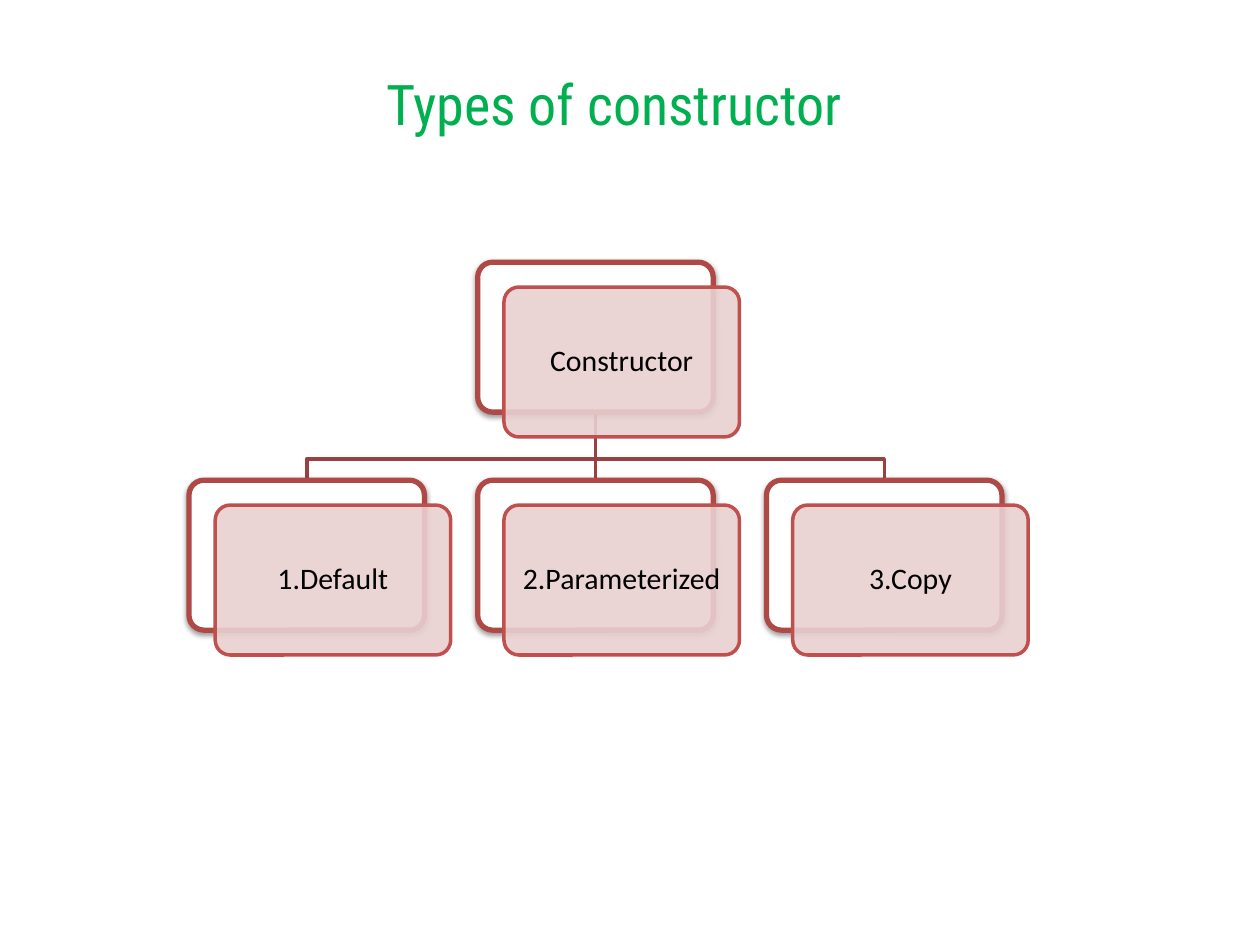
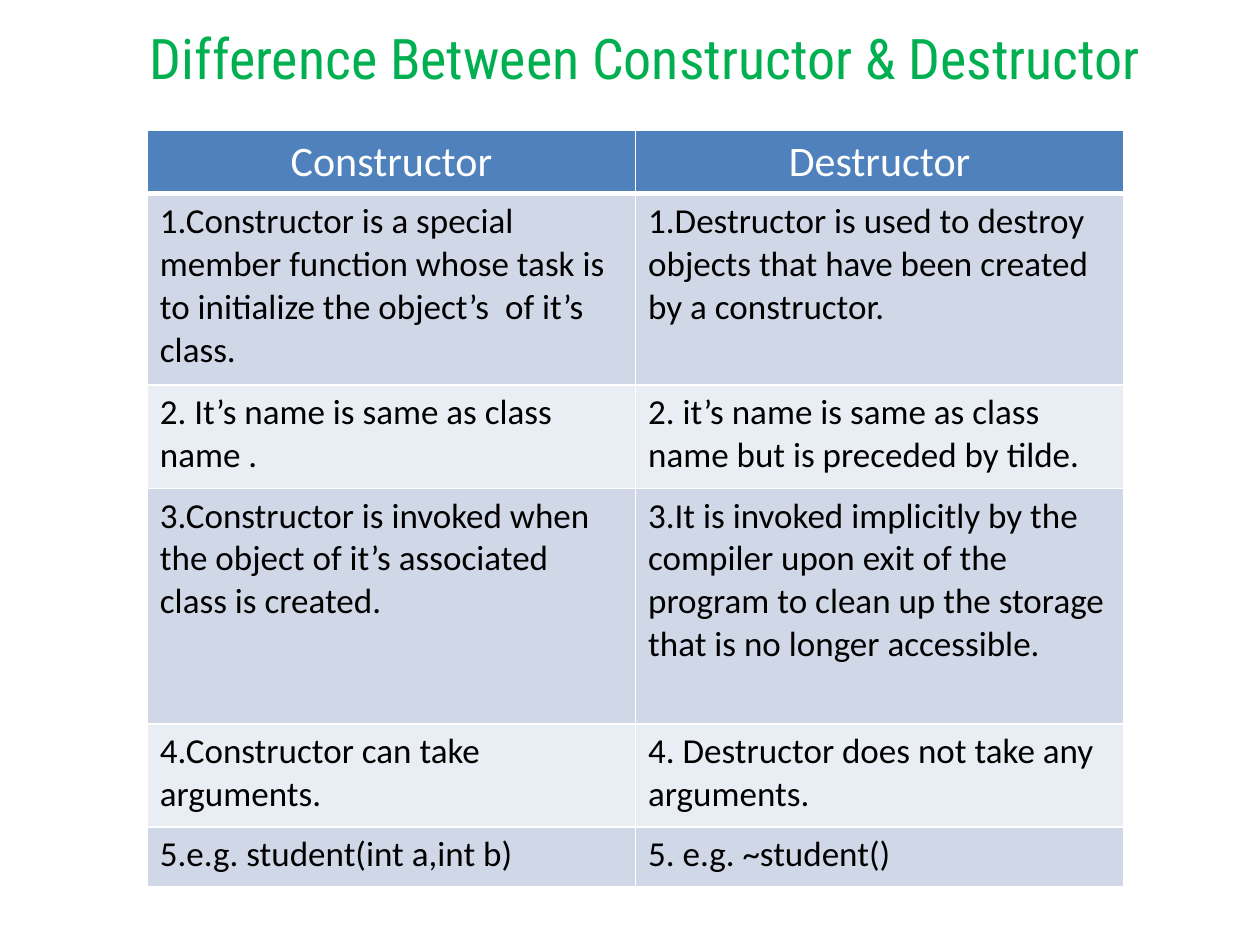
from lxml import etree
from pptx import Presentation
from pptx.dml.color import RGBColor
from pptx.enum.shapes import MSO_CONNECTOR, MSO_SHAPE
from pptx.enum.text import MSO_ANCHOR, PP_ALIGN
from pptx.oxml.ns import qn
from pptx.util import Pt

LEFT, CENTER = PP_ALIGN.LEFT, PP_ALIGN.CENTER
MIDDLE = MSO_ANCHOR.MIDDLE
ROUNDED = MSO_SHAPE.ROUNDED_RECTANGLE
STRAIGHT = MSO_CONNECTOR.STRAIGHT

GREEN = RGBColor(0x00, 0xB0, 0x50)
BLACK = RGBColor(0x00, 0x00, 0x00)
WHITE = RGBColor(0xFF, 0xFF, 0xFF)
BRANCH_RED = RGBColor(0x9A, 0x40, 0x3E)
BACK_RED = RGBColor(0xAE, 0x49, 0x46)
FRONT_RED = RGBColor(0xC0, 0x50, 0x4D)
PINK = RGBColor(0xE8, 0xD0, 0xD0)
HEADER_BLUE = RGBColor(0x4F, 0x81, 0xBD)
BAND_DARK = RGBColor(0xD0, 0xD8, 0xE8)
BAND_LIGHT = RGBColor(0xE9, 0xED, 0xF4)

TITLE_FONT, BODY_FONT = "Roboto Condensed", "Calibri"

# Card size, distance from back to front card, and steps of the tree
CARD_W, CARD_H = 134.6, 85.7
SHIFT_X, SHIFT_Y = 15, 14.2
COLUMN_STEP, LEVEL_STEP = 165, 124.6
BRANCH_RISE = 12.2

CONSTRUCTOR_TYPES = ["1.Default", "2.Parameterized", "3.Copy"]

ROW_HEIGHTS = [36, 109.4, 59, 134.6, 59, 34]
COMPARISON = [
    ("Constructor", "Destructor"),
    ("1.Constructor is a special member function whose task is to initialize "
     "the object’s  of it’s class.",
     "1.Destructor is used to destroy objects that have been created by a constructor."),
    ("2. It’s name is same as class name .",
     "2. it’s name is same as class name but is preceded by tilde."),
    ("3.Constructor is invoked when the object of it’s associated class is created.",
     "3.It is invoked implicitly by the compiler upon exit of the program to "
     "clean up the storage that is no longer accessible."),
    ("4.Constructor can take arguments.",
     "4. Destructor does not take any arguments."),
    ("5.e.g. student(int a,int b)", "5. e.g. ~student()"),
]


def write(frame, text, size, color=BLACK, font=BODY_FONT, align=LEFT, spacing=None):
    """Put one formatted paragraph into a text frame."""
    frame.word_wrap = True
    paragraph = frame.paragraphs[0]
    paragraph.alignment = align
    paragraph.line_spacing = spacing
    run = paragraph.add_run()
    run.text = text
    run.font.size = Pt(size)
    run.font.name = font
    run.font.bold = False
    run.font.color.rgb = color


def add_title(slide, text, left, top, width, height=46):
    """Add the green slide title."""
    title = slide.shapes.add_textbox(Pt(left), Pt(top), Pt(width), Pt(height))
    write(title.text_frame, text, 32, GREEN, TITLE_FONT, CENTER)


def add_alpha(color_parent, percent):
    """Give the colour inside an element an opacity."""
    color = color_parent.find(".//" + qn("a:srgbClr"))
    etree.SubElement(color, qn("a:alpha")).set("val", str(percent * 1000))


def add_panel(slide, left, top, fill, line, line_width):
    """Add one rounded panel of a card."""
    panel = slide.shapes.add_shape(ROUNDED, Pt(left), Pt(top), Pt(CARD_W), Pt(CARD_H))
    panel.adjustments[0] = 0.1
    panel.shadow.inherit = False
    panel.fill.solid()
    panel.fill.fore_color.rgb = fill
    panel.line.color.rgb = line
    panel.line.width = Pt(line_width)
    return panel


def add_card(slide, label, left, top):
    """Add a shadowed back panel and a translucent labelled front panel."""
    back = add_panel(slide, left, top, WHITE, BACK_RED, 3)
    effects = back._element.spPr.find(qn("a:effectLst"))
    shadow = etree.SubElement(effects, qn("a:outerShdw"), blurRad=str(Pt(3.1)),
                              dist=str(Pt(1.6)), dir="5400000", rotWithShape="0")
    etree.SubElement(shadow, qn("a:srgbClr"), val=str(BLACK))
    add_alpha(shadow, 38)

    front = add_panel(slide, left + SHIFT_X, top + SHIFT_Y, PINK, FRONT_RED, 2)
    add_alpha(front._element.spPr.find(qn("a:solidFill")), 90)
    frame = front.text_frame
    frame.margin_left = frame.margin_right = Pt(5)
    frame.margin_top = frame.margin_bottom = Pt(5)
    frame.vertical_anchor = MIDDLE
    write(frame, label, 17, align=CENTER, spacing=0.9)


def add_branch(slide, root_x, root_y, child_x, child_y):
    """Join the root to a child: straight below it, bent otherwise."""
    if child_x == root_x:
        branch = slide.shapes.add_connector(
            STRAIGHT, Pt(root_x), Pt(root_y), Pt(child_x), Pt(child_y))
        etree.SubElement(branch._element.spPr, qn("a:effectLst"))
    else:
        bend_y = Pt(child_y - BRANCH_RISE)
        builder = slide.shapes.build_freeform(Pt(root_x), Pt(root_y))
        builder.add_line_segments(
            [(Pt(root_x), bend_y), (Pt(child_x), bend_y), (Pt(child_x), Pt(child_y))],
            close=False)
        branch = builder.convert_to_shape()
        branch.shadow.inherit = False
        branch.fill.background()
    branch.line.color.rgb = BRANCH_RED
    branch.line.width = Pt(2)


def add_tree(slide, root, children, left, top):
    """Draw a root card centred over a row of child cards."""
    child_lefts = [left + i * COLUMN_STEP for i in range(len(children))]
    child_top = top + LEVEL_STEP
    root_left = (child_lefts[0] + child_lefts[-1]) / 2
    for child_left in reversed(child_lefts):
        add_branch(slide, root_left + CARD_W / 2, top + CARD_H,
                   child_left + CARD_W / 2, child_top)
    add_card(slide, root, root_left, top)
    for child, child_left in zip(children, child_lefts):
        add_card(slide, child, child_left, child_top)


def add_borders(cell, bottom_width):
    """Draw white lines round a cell."""
    properties = cell._tc.get_or_add_tcPr()
    for side, width in (("L", 1), ("R", 1), ("T", 1), ("B", bottom_width)):
        line = etree.SubElement(properties, qn("a:ln" + side), w=str(Pt(width)))
        fill = etree.SubElement(line, qn("a:solidFill"))
        etree.SubElement(fill, qn("a:srgbClr"), val=str(WHITE))


def add_comparison(slide, rows, left, top, width):
    """Add the two-column table with a header and banded rows."""
    table = slide.shapes.add_table(len(rows), len(rows[0]), Pt(left), Pt(top),
                                   Pt(width), Pt(sum(ROW_HEIGHTS))).table
    for r, texts in enumerate(rows):
        table.rows[r].height = Pt(ROW_HEIGHTS[r])
        is_header = r == 0
        for c, text in enumerate(texts):
            cell = table.cell(r, c)
            add_borders(cell, 3 if is_header else 1)
            cell.fill.solid()
            if is_header:
                cell.fill.fore_color.rgb = HEADER_BLUE
                write(cell.text_frame, text, 24, WHITE, align=CENTER)
            else:
                cell.fill.fore_color.rgb = BAND_DARK if r % 2 else BAND_LIGHT
                write(cell.text_frame, text, 20)


def main():
    """Build both slides."""
    deck = Presentation()
    deck.slide_width, deck.slide_height = Pt(720), Pt(540)
    blank = deck.slide_layouts[6]

    types = deck.slides.add_slide(blank)
    add_title(types, "Types of constructor", 198, 36, 306)
    add_tree(types, "Constructor", CONSTRUCTOR_TYPES, 108, 149.8)

    difference = deck.slides.add_slide(blank)
    add_comparison(difference, COMPARISON, 84.2, 74.2, 558)
    add_title(difference, "Difference Between Constructor & Destructor", -12, 10, 762)

    deck.save("out.pptx")


main()
